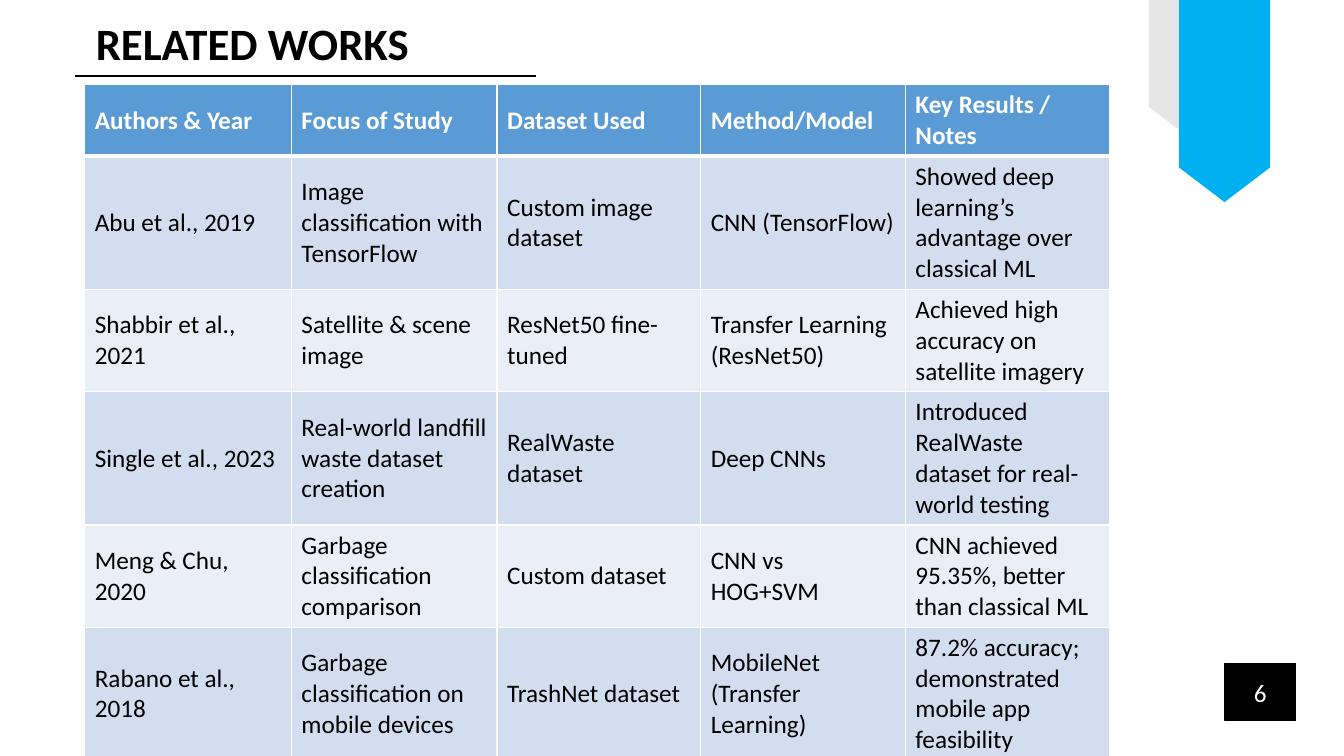
from lxml import etree
from pptx import Presentation
from pptx.dml.color import RGBColor
from pptx.enum.shapes import MSO_CONNECTOR, MSO_SHAPE
from pptx.enum.text import MSO_ANCHOR, MSO_AUTO_SIZE, PP_ALIGN
from pptx.oxml.ns import qn
from pptx.util import Emu, Pt

LEFT, CENTER = PP_ALIGN.LEFT, PP_ALIGN.CENTER
TOP, MIDDLE = MSO_ANCHOR.TOP, MSO_ANCHOR.MIDDLE
NO_AUTOFIT = MSO_AUTO_SIZE.NONE
STRAIGHT = MSO_CONNECTOR.STRAIGHT
RECTANGLE, PENTAGON = MSO_SHAPE.RECTANGLE, MSO_SHAPE.PENTAGON

EMU_PER_PX = 9144
BLACK, WHITE = "000000", "FFFFFF"
HEADER_FILL = "5B9BD5"
BAND_FILLS = ["EAEFF7", "D2DEEF"]

TITLE = "RELATED WORKS"
PAGE_NUMBER = "6"
STUDIES = [
    ("Authors & Year", "Focus of Study", "Dataset Used", "Method/Model", "Key Results / Notes"),
    ("Abu et al., 2019", "Image classification with TensorFlow", "Custom image dataset",
     "CNN (TensorFlow)", "Showed deep learning’s advantage over classical ML"),
    ("Shabbir et al., 2021", "Satellite & scene image", "ResNet50 fine-tuned",
     "Transfer Learning (ResNet50)", "Achieved high accuracy on satellite imagery"),
    ("Single et al., 2023", "Real-world landfill waste dataset creation", "RealWaste dataset",
     "Deep CNNs", "Introduced RealWaste dataset for real-world testing"),
    ("Meng & Chu, 2020", "Garbage classification comparison", "Custom dataset",
     "CNN vs HOG+SVM", "CNN achieved 95.35%, better than classical ML"),
    ("Rabano et al., 2018", "Garbage classification on mobile devices", "TrashNet dataset",
     "MobileNet (Transfer Learning)", "87.2% accuracy; demonstrated mobile app feasibility"),
]
COLUMN_WIDTHS = [205, 204, 202, 203, 203]
ROW_HEIGHT = 66
RIBBONS = [(1107, 32, 132, 67, "E7E6E6"), (1114, 55, 201, 90, "00B0F0")]


def px(*lengths):
    return [Emu(length * EMU_PER_PX) for length in lengths]


def color(value):
    return RGBColor.from_string(value)


def write(frame, text, size=18, fill=BLACK, bold=False, align=LEFT):
    para = frame.paragraphs[0]
    para.alignment = align
    span = para.add_run()
    span.text = text
    span.font.name = "Calibri"
    span.font.size = Pt(size)
    span.font.bold = bold
    span.font.color.rgb = color(fill)


def add_box(page, kind, left, top, width, height, fill):
    box = page.shapes.add_shape(kind, *px(left, top, width, height))
    box.shadow.inherit = False
    box.fill.solid()
    box.fill.fore_color.rgb = color(fill)
    box.line.fill.background()
    return box


def add_border(cell, side, points):
    properties = cell._tc.get_or_add_tcPr()
    line = etree.SubElement(properties, qn("a:ln" + side), w=str(Pt(points)))
    fill = etree.SubElement(line, qn("a:solidFill"))
    etree.SubElement(fill, qn("a:srgbClr"), val=WHITE)


def add_title(page):
    title = page.shapes.title
    title.left, title.top, title.width, title.height = px(85, 11, 351, 64)
    frame = title.text_frame
    frame.word_wrap = False
    frame.auto_size = NO_AUTOFIT
    frame.vertical_anchor = TOP
    write(frame, TITLE, size=32, bold=True)
    rule = page.shapes.add_connector(STRAIGHT, *px(74, 75, 532, 75))
    rule.line.color.rgb = color(BLACK)
    rule.line.width = Pt(1.5)
    etree.SubElement(rule._element.spPr, qn("a:effectLst"))


def add_page_number(page):
    badge = add_box(page, RECTANGLE, 1215, 658, 70, 57, BLACK)
    badge.line.color.rgb = color(BLACK)
    badge.line.width = Pt(1)
    badge.text_frame.vertical_anchor = MIDDLE
    write(badge.text_frame, PAGE_NUMBER, fill=WHITE, align=CENTER)


def add_ribbons(page):
    for left, top, width, height, fill in RIBBONS:
        ribbon = add_box(page, PENTAGON, left, top, width, height, fill)
        ribbon.adjustments[0] = 0.38
        ribbon.rotation = 90


def add_studies(page):
    rows, columns = len(STUDIES), len(COLUMN_WIDTHS)
    place = px(84, 84, sum(COLUMN_WIDTHS), rows * ROW_HEIGHT)
    table = page.shapes.add_table(rows, columns, *place).table
    for column, width in zip(table.columns, px(*COLUMN_WIDTHS)):
        column.width = width
    for index, study in enumerate(STUDIES):
        header = index == 0
        borders = {"L": 1, "R": 1, "T": 3 if index == 1 else 1, "B": 3 if header else 1}
        for cell, text in zip(table.rows[index].cells, study):
            for side, points in borders.items():
                add_border(cell, side, points)
            cell.fill.solid()
            cell.fill.fore_color.rgb = color(HEADER_FILL if header else BAND_FILLS[index % 2])
            cell.vertical_anchor = MIDDLE
            write(cell.text_frame, text, fill=WHITE if header else BLACK, bold=header)


def main():
    deck = Presentation()
    deck.slide_width, deck.slide_height = px(1333, 750)
    page = deck.slides.add_slide(deck.slide_layouts[5])
    add_title(page)
    add_page_number(page)
    add_ribbons(page)
    add_studies(page)
    deck.save("out.pptx")


if __name__ == "__main__":
    main()
